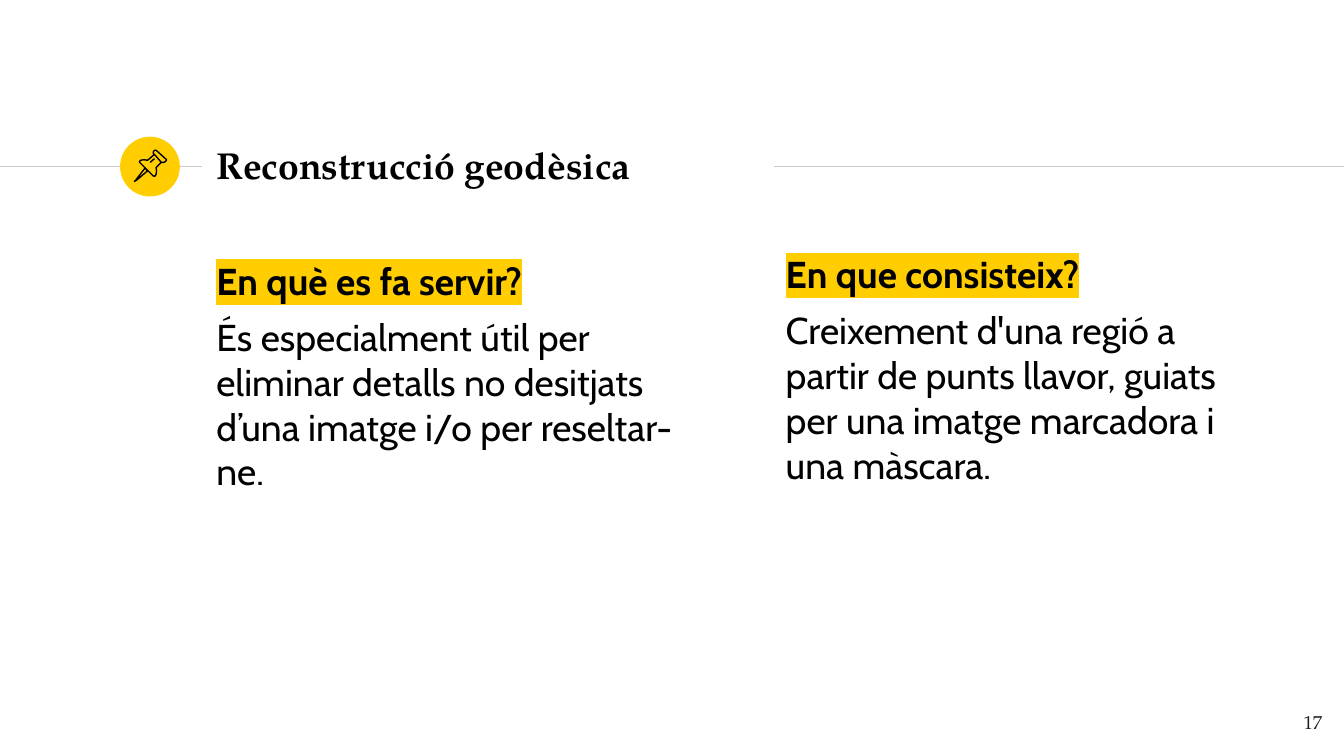
"""Build the slide on geodesic reconstruction."""
from dataclasses import dataclass

from lxml.etree import SubElement
from pptx import Presentation
from pptx.dml.color import RGBColor
from pptx.enum.shapes import MSO_CONNECTOR, MSO_SHAPE
from pptx.enum.text import MSO_ANCHOR, MSO_AUTO_SIZE, PP_ALIGN
from pptx.oxml import parse_xml
from pptx.oxml.ns import nsdecls, qn
from pptx.slide import Slide
from pptx.text.text import TextFrame, _Paragraph, _Run
from pptx.util import Cm, Pt

BLACK = RGBColor(0x00, 0x00, 0x00)
INK = RGBColor(0x1D, 0x1D, 0x1B)
GREY = RGBColor(0xCC, 0xCC, 0xCC)
YELLOW = RGBColor(0xFF, 0xCD, 0x00)
SERIF = "TeX Gyre Pagella"
SANS = "Cabin"
RULE_TOP = 3.15
BADGE_SIZE = 1.13


@dataclass(frozen=True)
class Column:
    left: float
    top: float
    height: float
    heading: str
    body: str


@dataclass(frozen=True)
class Stroke:
    points: tuple[tuple[int, int], ...]
    closed: bool


COLUMNS = (
    Column(14.6, 4.5, 6.05, "En que consisteix?",
           "Creixement d'una regió a partir de punts llavor, guiats per una "
           "imatge marcadora i una màscara."),
    Column(3.84, 4.63, 5.77, "En què es fa servir?",
           "És especialment útil per eliminar detalls no desitjats d’una "
           "imatge i/o per reseltar-ne."),
)

PIN = (
    Stroke(((274, 318), (257, 340), (254, 343), (259, 340), (279, 323)), True),
    Stroke(((292, 292), (305, 307), (310, 307), (313, 305), (315, 302),
            (295, 284), (292, 284), (290, 287), (290, 291)), True),
    Stroke(((292, 292), (279, 303), (272, 302), (266, 303), (264, 305),
            (264, 307), (290, 333), (293, 333), (295, 330), (296, 323),
            (295, 317), (305, 307)), False),
    Stroke(((284, 307), (292, 300)), False),
)


def prepare_frame(frame: TextFrame, anchor: MSO_ANCHOR = MSO_ANCHOR.TOP) -> None:
    frame.word_wrap = True
    frame.auto_size = MSO_AUTO_SIZE.NONE
    frame.vertical_anchor = anchor
    frame.margin_left = frame.margin_right = Cm(0.25)
    frame.margin_top = frame.margin_bottom = Cm(0.25)


def add_span(para: _Paragraph, text: str, font: str, size: int,
             color: RGBColor = BLACK, bold: bool = False) -> _Run:
    span = para.add_run()
    span.text = text
    span.font.size = Pt(size)
    span.font.bold = bold
    span.font.color.rgb = color
    span.font.name = font
    return span


def highlight(span: _Run, color: RGBColor) -> None:
    mark = parse_xml(f'<a:highlight {nsdecls("a")}><a:srgbClr val="{color}"/></a:highlight>')
    span.font._element.find(qn("a:solidFill")).addnext(mark)


def add_rule(page: Slide, start: float, end: float) -> None:
    rule = page.shapes.add_connector(
        MSO_CONNECTOR.STRAIGHT, Cm(start), Cm(RULE_TOP), Cm(end), Cm(RULE_TOP))
    rule.line.color.rgb = GREY
    rule.line.width = Pt(0.75)
    SubElement(rule._element.spPr, qn("a:effectLst"))


def add_badge(page: Slide) -> None:
    badge = page.shapes.add_shape(
        MSO_SHAPE.OVAL, Cm(2.27), Cm(RULE_TOP - BADGE_SIZE / 2),
        Cm(BADGE_SIZE), Cm(BADGE_SIZE))
    badge.shadow.inherit = False
    badge.fill.solid()
    badge.fill.fore_color.rgb = YELLOW
    badge.line.fill.background()


def add_stroke(page: Slide, stroke: Stroke) -> None:
    first, *others = stroke.points
    builder = page.shapes.build_freeform(*first, scale=Cm(0.01))
    builder.add_line_segments(others, close=stroke.closed)
    outline = builder.convert_to_shape()
    outline.shadow.inherit = False
    outline.fill.background()
    outline.line.color.rgb = BLACK
    outline.line.width = Pt(0.75)


def add_column(page: Slide, column: Column) -> None:
    box = page.shapes.add_textbox(
        Cm(column.left), Cm(column.top), Cm(9.53), Cm(column.height))
    prepare_frame(box.text_frame)
    heading = box.text_frame.paragraphs[0]
    highlight(add_span(heading, column.heading, SANS, 20, bold=True), YELLOW)
    body = box.text_frame.add_paragraph()
    body.space_before = Pt(6)
    add_span(body, column.body, SANS, 20)


def set_title(page: Slide, text: str) -> None:
    title = page.shapes.title
    title.left, title.top, title.width, title.height = Cm(3.84), Cm(2.5), Cm(10.77), Cm(1.22)
    prepare_frame(title.text_frame, MSO_ANCHOR.MIDDLE)
    para = title.text_frame.paragraphs[0]
    para.alignment = PP_ALIGN.LEFT
    add_span(para, text, SERIF, 20, bold=True)


def add_page_number(page: Slide, number: str) -> None:
    box = page.shapes.add_textbox(Cm(23.72), Cm(13.18), Cm(1.52), Cm(1.09))
    prepare_frame(box.text_frame)
    para = box.text_frame.paragraphs[0]
    para.alignment = PP_ALIGN.RIGHT
    add_span(para, number, SERIF, 10, INK)


def main() -> None:
    deck = Presentation()
    deck.slide_width, deck.slide_height = Cm(25.4), Cm(14.29)
    page = deck.slides.add_slide(deck.slide_layouts[5])
    add_rule(page, 0, 3.82)
    add_badge(page)
    add_rule(page, 14.63, 25.4)
    set_title(page, "Reconstrucció geodèsica")
    for column in COLUMNS:
        add_column(page, column)
    for stroke in PIN:
        add_stroke(page, stroke)
    add_page_number(page, "17")
    deck.save("out.pptx")


if __name__ == "__main__":
    main()
